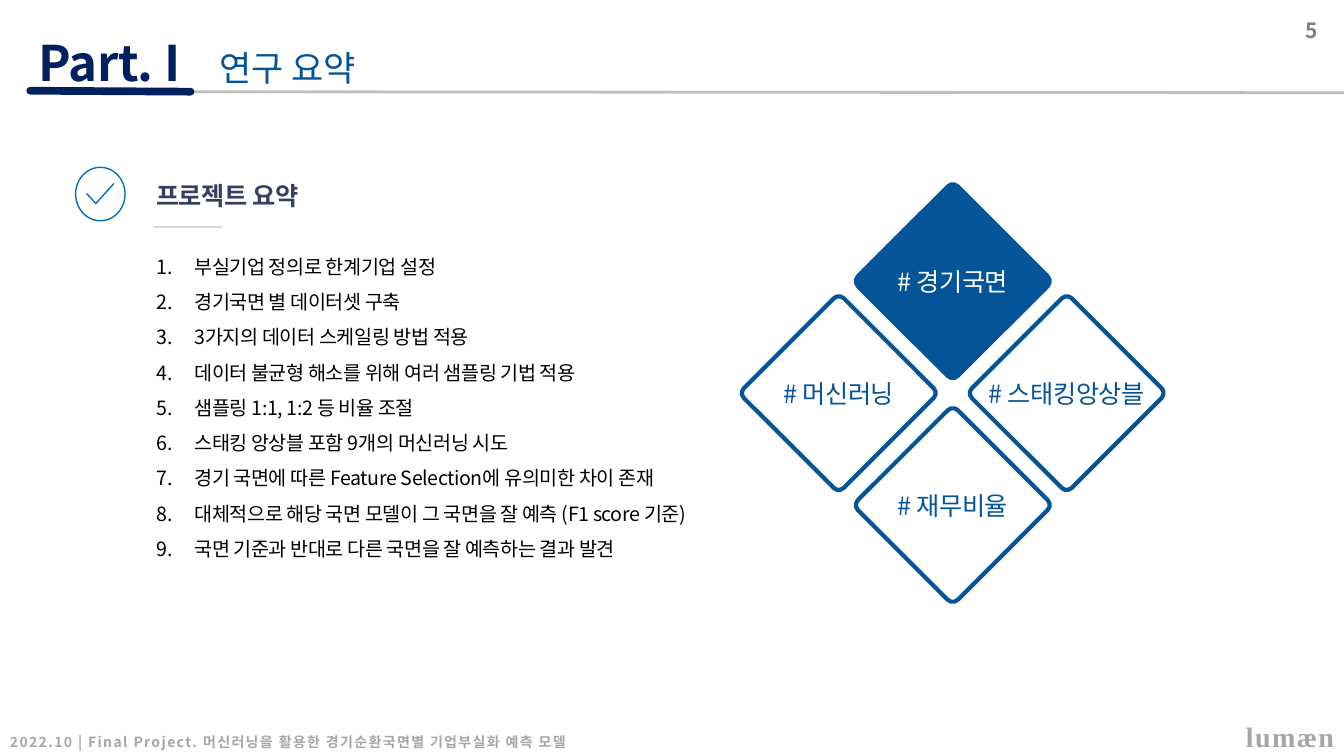
from lxml.etree import SubElement
from pptx import Presentation
from pptx.dml.color import RGBColor
from pptx.enum.shapes import MSO_CONNECTOR as Connector, MSO_SHAPE as Preset
from pptx.enum.text import MSO_ANCHOR as Anchor, MSO_AUTO_SIZE as AutoSize, PP_ALIGN as Align
from pptx.oxml.ns import qn
from pptx.util import Inches, Pt

THEME = {
    "sans": "Noto Sans CJK KR", "serif": "Times New Roman",
    "navy": "002060", "blue": "045497", "icon": "0070C0", "slate": "373E64",
    "black": "000000", "white": "FFFFFF", "gray": "808080",
    "muted": "A6A6A6", "rule": "BFBFBF", "light": "D9D9D9",
    "part": 35, "title": 25, "brand": 20, "label": 18, "number": 15, "body": 14, "footer": 10,
}

presentation = Presentation()
presentation.slide_width, presentation.slide_height = Inches(13.33), Inches(7.5)
slide = presentation.slides.add_slide(presentation.slide_layouts[6])
shapes = slide.shapes
COLUMN, ROW = presentation.slide_width / 100, presentation.slide_height / 100


def place(*grid):
    return [round(value * (ROW if index % 2 else COLUMN)) for index, value in enumerate(grid)]


def write(shape, lines, size, color, bold=False, spacing=0, font="sans", align=Align.LEFT,
          numbered=False, inset=None, **frame_format):
    frame = shape.text_frame
    for name, value in {"word_wrap": True, **frame_format}.items():
        setattr(frame, name, value)
    if inset is not None:
        for side in ("left", "top", "right", "bottom"):
            setattr(frame, f"margin_{side}", inset)
    for index, line in enumerate(lines):
        paragraph = frame.add_paragraph() if index else frame.paragraphs[0]
        paragraph.alignment = align
        if numbered:
            paragraph.line_spacing = 1.5
            properties = paragraph._p.get_or_add_pPr()
            properties.set("marL", str(Inches(0.38)))
            properties.set("indent", str(-Inches(0.38)))
            SubElement(properties, qn("a:buFont"), typeface="+mj-lt")
            SubElement(properties, qn("a:buAutoNum"), type="arabicPeriod")
        run = paragraph.add_run()
        run.text = line
        for name, value in {"name": THEME[font], "size": Pt(THEME[size]), "bold": bold}.items():
            setattr(run.font, name, value)
        run.font.color.rgb = RGBColor.from_string(THEME[color])
        run._r.rPr.set("spc", str(round(spacing * 100)))
        SubElement(run._r.rPr, qn("a:ea"), typeface=THEME[font])


rules = [
    ((8.25, 12.13, 100, 12.27), "rule", 2, "flat"),
    ((2.25, 12, 14.18, 12.13), "navy", 5.5, "rnd"),
    ((11.4, 30, 16.5, 30), "light", 1.75, "flat"),
]
for ends, color, width, cap in rules:
    rule = shapes.add_connector(Connector.STRAIGHT, *place(*ends))
    rule.line.color.rgb = RGBColor.from_string(THEME[color])
    rule.line.width = Pt(width)
    rule.line._get_or_add_ln().set("cap", cap)
    SubElement(rule._element.spPr, qn("a:effectLst"))

footer = shapes.add_shape(Preset.RECTANGLE, *place(0, 95.73, 82.82, 4.13))
footer.shadow.inherit = False
footer.fill.solid()
footer.fill.fore_color.rgb = RGBColor.from_string(THEME["white"])
SubElement(footer.fill._xPr.find(qn("a:solidFill"))[0], qn("a:alpha"), val="50000")
footer.line.fill.background()
write(footer, ["2022.10 | Final Project. 머신러닝을 활용한 경기순환국면별 기업부실화 예측 모델"],
      "footer", "muted", bold=True, spacing=1, vertical_anchor=Anchor.BOTTOM)

summary = [
    "부실기업 정의로 한계기업 설정",
    "경기국면 별 데이터셋 구축",
    "3가지의 데이터 스케일링 방법 적용",
    "데이터 불균형 해소를 위해 여러 샘플링 기법 적용",
    "샘플링 1:1, 1:2 등 비율 조절",
    "스태킹 앙상블 포함 9개의 머신러닝 시도",
    "경기 국면에 따른 Feature Selection에 유의미한 차이 존재",
    "대체적으로 해당 국면 모델이 그 국면을 잘 예측 (F1 score 기준)",
    "국면 기준과 반대로 다른 국면을 잘 예측하는 결과 발견",
]
GROW = {"auto_size": AutoSize.SHAPE_TO_FIT_TEXT}
texts = [
    ((2.85, 4.27, 17.33, 7.87), ["Part. I"], "part", "navy",
     {"bold": True, "spacing": -0.3, "inset": 0, **GROW}),
    ((85.52, 94.67, 14.48, 5.33), ["lumæn"], "brand", "muted",
     {"bold": True, "spacing": 1, "font": "serif", "align": Align.RIGHT,
      "vertical_anchor": Anchor.MIDDLE}),
    ((15.6, 4.8, 52, 7.6), ["연구 요약"], "title", "blue", {"vertical_anchor": Anchor.BOTTOM}),
    ((10.88, 31.47, 43.44, 43.33), summary, "body", "black",
     {"spacing": -0.3, "numbered": True, **GROW}),
    ((10.88, 23.2, 13.35, 5.33), ["프로젝트 요약"], "label", "slate",
     {"bold": True, "spacing": -0.3, "word_wrap": False, **GROW}),
    ((76.29, 1.6, 22.51, 5.33), ["5"], "number", "gray", {"bold": True, "align": Align.RIGHT}),
]
for area, lines, size, color, text_format in texts:
    write(shapes.add_textbox(*place(*area)), lines, size, color, **text_format)

CENTER_X, CENTER_Y, STEP_X, STEP_Y = 70.89, 52, 8.48, 14.8
SIDE_X, SIDE_Y, LABEL_X, LABEL_Y = 10.5, 18.67, 13.73, 4
diamonds = [
    ("# 경기국면", 0, -1, "blue", "white"),
    ("# 머신러닝", -1, 0, "white", "blue"),
    ("# 재무비율", 0, 1, "white", "blue"),
    ("# 스태킹앙상블", 1, 0, "white", "blue"),
]
for keyword, across, down, fill, color in diamonds:
    x, y = CENTER_X + across * STEP_X, CENTER_Y + down * STEP_Y
    diamond = shapes.add_shape(Preset.ROUNDED_RECTANGLE,
                               *place(x - SIDE_X / 2, y - SIDE_Y / 2, SIDE_X, SIDE_Y))
    diamond.shadow.inherit = False
    diamond.rotation = 45
    diamond.adjustments[0] = 0.05
    diamond.fill.solid()
    diamond.fill.fore_color.rgb = RGBColor.from_string(THEME[fill])
    diamond.line.color.rgb = RGBColor.from_string(THEME["blue"])
    diamond.line.width = Pt(3)
    label = shapes.add_textbox(*place(x - LABEL_X / 2, y - LABEL_Y / 2, LABEL_X, LABEL_Y))
    write(label, [keyword], "label", color, spacing=-0.3, align=Align.CENTER, inset=0, **GROW)

circle = shapes.add_shape(Preset.OVAL, *place(5.63, 22.13, 3.68, 7.07))
outline = shapes.build_freeform(*place(6.45, 25.6))
outline.add_line_segments([place(7.13, 26.93), place(8.48, 24.27)], close=False)
for icon in (circle, outline.convert_to_shape()):
    icon.shadow.inherit = False
    icon.fill.background()
    icon.line.color.rgb = RGBColor.from_string(THEME["icon"])
    icon.line.width = Pt(1)

presentation.save("out.pptx")
